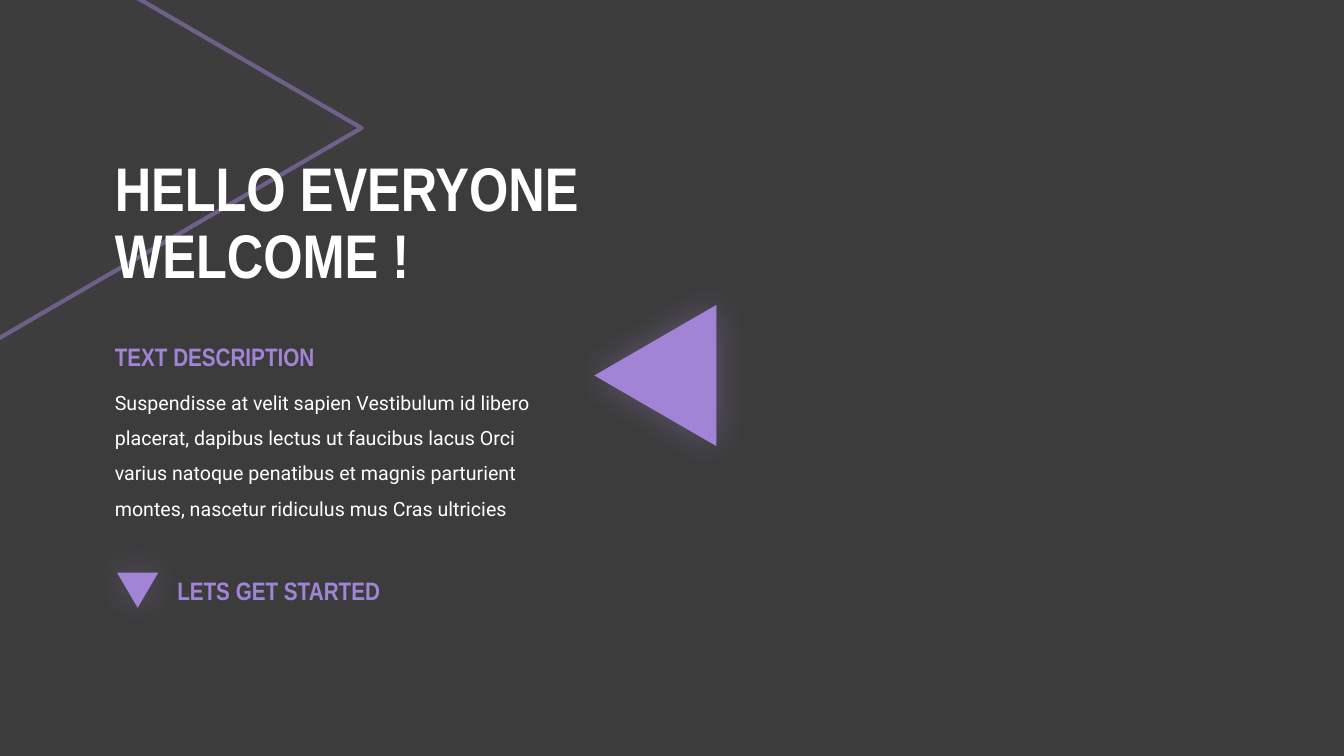
from dataclasses import dataclass

from lxml import etree
from pptx import Presentation
from pptx.dml.color import RGBColor
from pptx.enum import shapes, text
from pptx.oxml import ns
from pptx.util import Inches, Pt


@dataclass(frozen=True)
class Theme:
    """Hold the colours, fonts and type sizes of the slide."""
    back: str = "3C3C3C"
    tint: str = "A284D7"
    ink: str = "FFFFFF"
    head: str = "Arial Narrow"
    copy: str = "Roboto"
    title: int = 44
    label: int = 18
    body: int = 14


THEME = Theme()


def sub(node, tag, **attrs):
    """Add a drawing element under a node."""
    return etree.SubElement(node, ns.qn(tag), **attrs)


def fade(color, share):
    """Set the opacity of a colour in percent."""
    sub(color, "a:alpha", val=str(share * 1000))


def glow(shape):
    """Give a shape a soft centred shadow in the tint."""
    effects = sub(shape._element.spPr, "a:effectLst")
    outer = sub(effects, "a:outerShdw", blurRad=str(Pt(25)), dist="0",
                dir="0", algn="ctr", rotWithShape="0")
    fade(sub(outer, "a:srgbClr", val=THEME.tint), 35)


def wedge(slide, box, turn, hollow=False):
    """Draw a glowing triangle, filled or outlined."""
    shape = slide.shapes.add_shape(shapes.MSO_SHAPE.ISOSCELES_TRIANGLE,
                                   *map(Inches, box))
    shape.rotation = turn
    tint = RGBColor.from_string(THEME.tint)
    if hollow:
        shape.fill.background()
        shape.line.width = Pt(3)
        shape.line.color.rgb = tint
        fade(shape.line._ln.find(".//" + ns.qn("a:srgbClr")), 50)
    else:
        shape.fill.solid()
        shape.fill.fore_color.rgb = tint
        shape.line.fill.background()
    glow(shape)


def write(slide, box, words, size, color=THEME.ink, font=THEME.head,
          bold=True, lead=1.0, anchor=text.MSO_ANCHOR.TOP):
    """Place a formatted paragraph in a box."""
    frame = slide.shapes.add_textbox(*map(Inches, box)).text_frame
    frame.word_wrap = True
    frame.vertical_anchor = anchor
    para = frame.paragraphs[0]
    para.text = words
    para.line_spacing = lead
    for run in para.runs:
        run.font.name = font
        run.font.size = Pt(size)
        run.font.bold = bold
        run.font.color.rgb = RGBColor.from_string(color)


def label(slide, left, top, words):
    """Write a tinted heading at a point."""
    write(slide, (left, top, 2.45, 0.4), words, THEME.label, THEME.tint)


def banner(slide, left, top):
    """Write the title of the slide."""
    write(slide, (left, top, 7.5, 1.58), "HELLO EVERYONE\vWELCOME !",
          THEME.title, lead=0.9, anchor=text.MSO_ANCHOR.MIDDLE)


def story(slide, left, top):
    """Write the description under its heading."""
    write(slide, (left, top + 0.37, 4.51, 1.48),
          "Suspendisse at velit sapien Vestibulum id libero placerat, "
          "dapibus lectus ut faucibus lacus Orci varius natoque penatibus "
          "et magnis parturient montes, nascetur ridiculus mus Cras ultricies",
          THEME.body, font=THEME.copy, bold=False, lead=1.5)
    label(slide, left, top, "TEXT DESCRIPTION")


def start(slide, left, top):
    """Place the call to begin beside its marker."""
    wedge(slide, (left + 0.12, top + 0.02, 0.41, 0.35), 180)
    label(slide, left + 0.62, top, "LETS GET STARTED")


def main():
    """Build and save the welcome slide."""
    deck = Presentation()
    deck.slide_width, deck.slide_height = Inches(13.33), Inches(7.5)
    slide = deck.slides.add_slide(deck.slide_layouts[6])
    slide.background.fill.solid()
    slide.background.fill.fore_color.rgb = RGBColor.from_string(THEME.back)
    left = 1.04
    wedge(slide, (-0.52, -0.63, 4.41, 3.8), 90, hollow=True)
    banner(slide, left, 1.44)
    wedge(slide, (5.8, 3.12, 1.4, 1.21), 270)
    story(slide, left, 3.34)
    start(slide, left, 5.66)
    deck.save("out.pptx")


if __name__ == "__main__":
    main()
